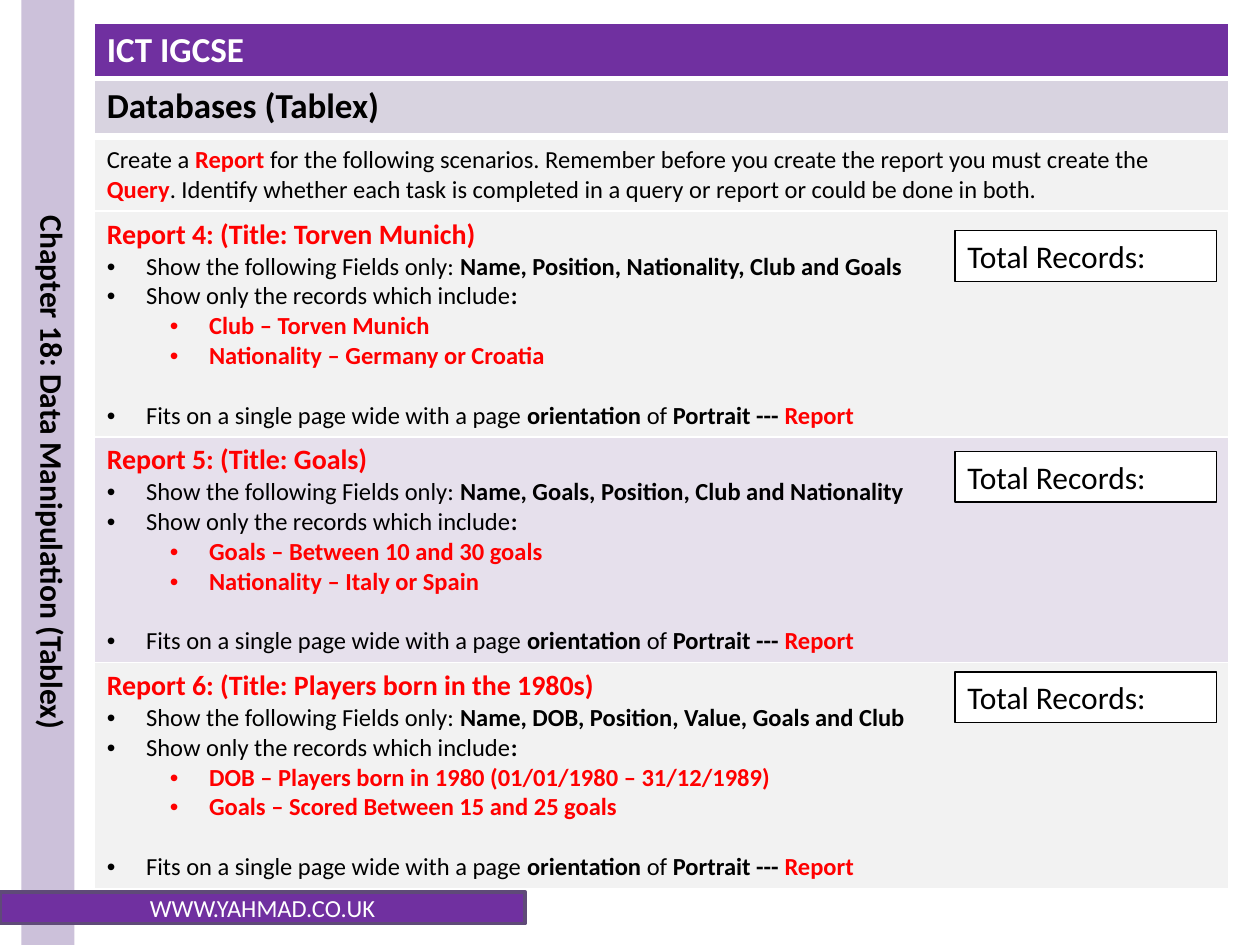
from dataclasses import dataclass
from typing import NamedTuple

from lxml.etree import SubElement
from pptx import Presentation
from pptx.dml.color import RGBColor
from pptx.enum.shapes import MSO_SHAPE as Preset
from pptx.enum.text import MSO_ANCHOR as Anchor, PP_ALIGN as Align
from pptx.oxml.ns import qn
from pptx.util import Cm, Pt

PURPLE = RGBColor(0x70, 0x30, 0xA0)
DARK_PURPLE = RGBColor(0x5F, 0x4A, 0x78)
LILAC = RGBColor(0xCC, 0xC1, 0xDA)
GREY_LILAC = RGBColor(0xD8, 0xD3, 0xE0)
PALE_LILAC = RGBColor(0xE6, 0xE0, 0xEC)
PALE_GREY = RGBColor(0xF2, 0xF2, 0xF2)
RED = RGBColor(0xFF, 0x00, 0x00)
BLACK = RGBColor(0x00, 0x00, 0x00)
WHITE = RGBColor(0xFF, 0xFF, 0xFF)

FONT = "Calibri"
SLIDE_WIDTH, SLIDE_HEIGHT = 25.4, 19.05
TABLE_LEFT, TABLE_WIDTH = Cm(1.9), Cm(22.86)
BODY_SIZE = 14
BULLET_INDENT, LEVEL_STEP = Cm(0.79), Cm(1.27)


class Span(NamedTuple):
    text: str
    bold: bool = False
    color: RGBColor = BLACK


class Box(NamedTuple):
    left: float
    top: float
    width: float
    height: float


@dataclass
class Line:
    spans: list[Span]
    size: int = BODY_SIZE
    level: int | None = None  # bullet level, None for plain text
    space_before: int = 0


@dataclass
class Report:
    heading: str
    fields: str
    criteria: list[str]
    fill: RGBColor

    def lines(self) -> list[Line]:
        return [
            Line([Span(self.heading, True, RED)], size=16),
            Line([Span("Show the following Fields only: "), Span(self.fields, True)], level=0),
            Line([Span("Show only the records which include"), Span(":", True)], level=0),
            *(Line([Span(text, True, RED)], level=1) for text in self.criteria),
            Line([Span("Fits on a single page wide with a page "), Span("orientation", True),
                  Span(" of "), Span("Portrait --- ", True), Span("Report", True, RED)],
                 level=0, space_before=17),
        ]


REPORTS = [
    Report("Report 4: (Title: Torven Munich)", "Name, Position, Nationality, Club and Goals",
           ["Club – Torven Munich", "Nationality – Germany or Croatia"], PALE_GREY),
    Report("Report 5: (Title: Goals)", "Name, Goals, Position, Club and Nationality",
           ["Goals – Between 10 and 30 goals", "Nationality – Italy or Spain"], PALE_LILAC),
    Report("Report 6: (Title: Players born in the 1980s)",
           "Name, DOB, Position, Value, Goals and Club",
           ["DOB – Players born in 1980 (01/01/1980 – 31/12/1989)",
            "Goals – Scored Between 15 and 25 goals"], PALE_GREY),
]
INTRO = Line([
    Span("Create a "), Span("Report", True, RED),
    Span(" for the following scenarios. Remember before you create the report"
         " you must create the "),
    Span("Query", True, RED),
    Span(". Identify whether each task is completed in a query or report"
         " or could be done in both."),
])


def style_font(font, size: int, color: RGBColor, bold: bool = False) -> None:
    font.name, font.size, font.bold = FONT, Pt(size), bold
    font.color.rgb = color


def add_bullet(paragraph, level: int) -> None:
    paragraph.level = level
    properties = paragraph._p.get_or_add_pPr()
    properties.set("marL", str(BULLET_INDENT + level * LEVEL_STEP))
    properties.set("indent", str(-BULLET_INDENT))
    SubElement(properties, qn("a:buFont"), typeface="Arial")
    SubElement(properties, qn("a:buChar"), char="•")


def write_lines(text_frame, lines: list[Line]) -> None:
    for index, line in enumerate(lines):
        paragraph = text_frame.add_paragraph() if index else text_frame.paragraphs[0]
        if line.level is not None:
            add_bullet(paragraph, line.level)
        if line.space_before:
            paragraph.space_before = Pt(line.space_before)
        for span in line.spans:
            run = paragraph.add_run()
            run.text = span.text
            style_font(run.font, line.size, span.color, span.bold)


def add_borders(cell, top: float, bottom: float) -> None:
    """White borders; they must be added before the cell fill."""
    properties = cell._tc.get_or_add_tcPr()
    for side, width in (("L", 1), ("R", 1), ("T", top), ("B", bottom)):
        border = SubElement(properties, qn(f"a:ln{side}"), w=str(Pt(width)))
        solid = SubElement(border, qn("a:solidFill"))
        SubElement(solid, qn("a:srgbClr"), val=str(WHITE))


def add_band_table(slide, top: float, heights: list[float],
                   rows: list[tuple[list[Line], RGBColor]], divider: float = 1) -> None:
    """One-column table whose rows are filled bands."""
    table = slide.shapes.add_table(len(rows), 1, TABLE_LEFT, Cm(top), TABLE_WIDTH,
                                   Cm(sum(heights))).table
    table.first_row = table.horz_banding = False
    last = len(rows) - 1
    for index, (height, (lines, fill)) in enumerate(zip(heights, rows)):
        table.rows[index].height = Cm(height)
        cell = table.cell(index, 0)
        add_borders(cell, divider if index else 1, divider if index < last else 1)
        cell.fill.solid()
        cell.fill.fore_color.rgb = fill
        write_lines(cell.text_frame, lines)


def add_rectangle(slide, box: Box, fill: RGBColor, outline: RGBColor | None = None,
                  outline_width: float = 0):
    rectangle = slide.shapes.add_shape(Preset.RECTANGLE, *map(Cm, box))
    rectangle.shadow.inherit = False
    rectangle.fill.solid()
    rectangle.fill.fore_color.rgb = fill
    if outline is None:
        rectangle.line.fill.background()
    else:
        rectangle.line.color.rgb = outline
        rectangle.line.width = Pt(outline_width)
    return rectangle


def label(shape, text: str, size: int, color: RGBColor, align: Align, anchor: Anchor,
          bold: bool = False) -> None:
    frame = shape.text_frame
    frame.text = text
    frame.word_wrap = True
    frame.vertical_anchor = anchor
    paragraph = frame.paragraphs[0]
    paragraph.alignment = align
    style_font(paragraph.runs[0].font, size, color, bold)


def add_chapter_strip(slide) -> None:
    """Strip with the title turned a quarter clockwise about its centre."""
    strip = add_rectangle(slide, Box(0.43, 0, 1.07, SLIDE_HEIGHT), LILAC)
    title = slide.shapes.title
    length, depth, center_x = SLIDE_HEIGHT, 1.27, 0.94
    box = Box(center_x - length / 2, (SLIDE_HEIGHT - depth) / 2, length, depth)
    title.left, title.top, title.width, title.height = map(Cm, box)
    title.rotation = 90
    label(title, "Chapter 18: Data Manipulation (Tablex)", 18, BLACK,
          Align.CENTER, Anchor.TOP, bold=True)
    strip._element.addnext(title._element)  # title in front of the strip


def main() -> None:
    deck = Presentation()
    deck.slide_width, deck.slide_height = Cm(SLIDE_WIDTH), Cm(SLIDE_HEIGHT)
    slide = deck.slides.add_slide(deck.slide_layouts[5])

    add_band_table(slide, 0.46, [1.07, 1.04], [
        ([Line([Span("ICT IGCSE", True, WHITE)], size=20)], PURPLE),
        ([Line([Span("Databases (Tablex)", True)], size=20)], GREY_LILAC),
    ], divider=3)
    add_chapter_strip(slide)

    footer = add_rectangle(slide, Box(0, 17.98, 10.59, 0.64), PURPLE, DARK_PURPLE, 2)
    label(footer, "WWW.YAHMAD.CO.UK", 14, WHITE, Align.CENTER, Anchor.MIDDLE)

    add_band_table(slide, 2.8, [1.42] + [4.55] * len(REPORTS),
                   [([INTRO], PALE_GREY)] + [(report.lines(), report.fill) for report in REPORTS])

    for index in range(len(REPORTS)):
        records = add_rectangle(slide, Box(19.25, 4.65 + index * 4.45, 5.28, 1.02),
                                WHITE, BLACK, 0.75)
        label(records, "Total Records:", 18, BLACK, Align.LEFT, Anchor.TOP)

    deck.save("out.pptx")


if __name__ == "__main__":
    main()
